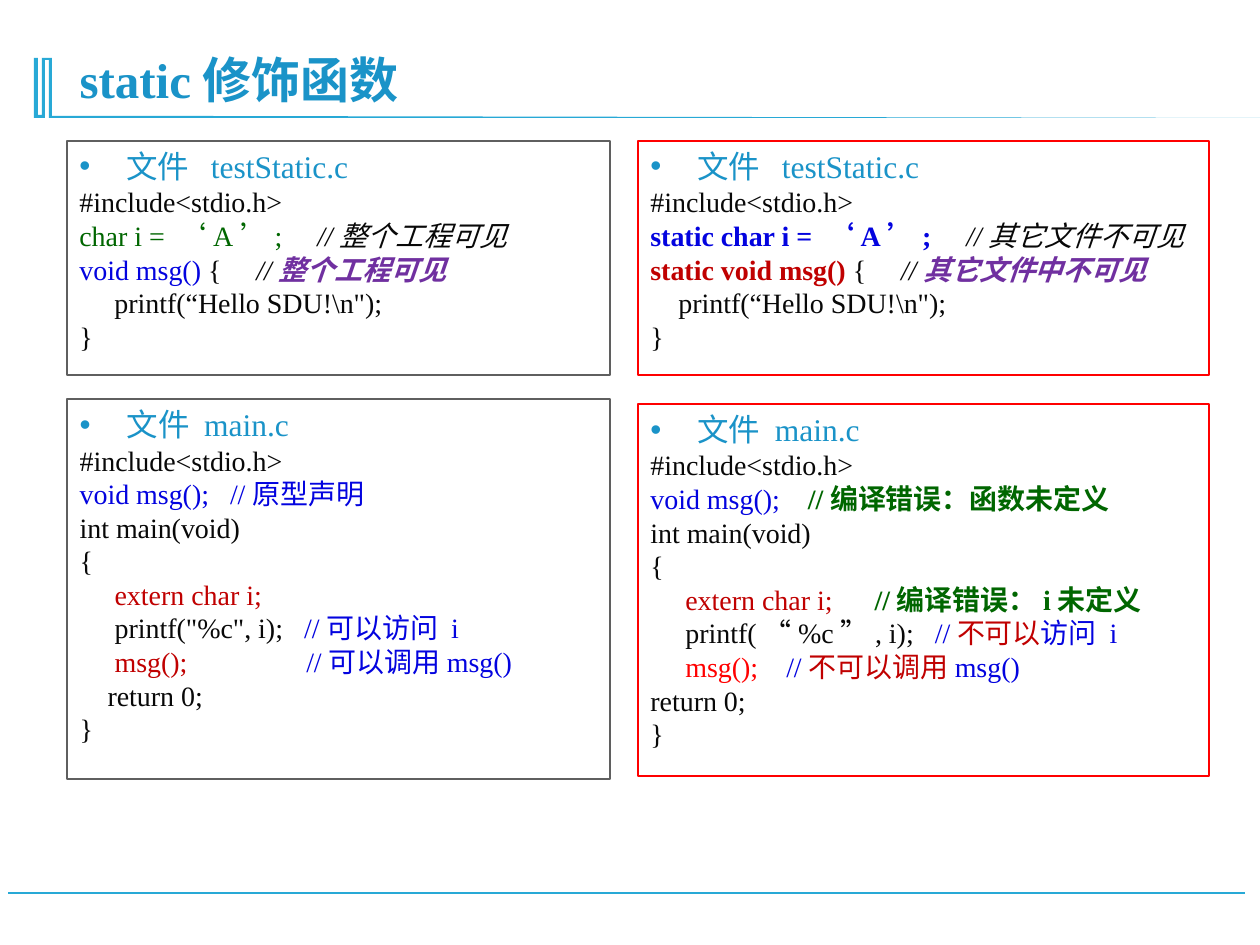
from lxml import etree
from pptx import Presentation
from pptx.dml.color import RGBColor
from pptx.enum.shapes import MSO_CONNECTOR, MSO_SHAPE
from pptx.enum.text import MSO_ANCHOR, MSO_AUTO_SIZE, PP_ALIGN
from pptx.oxml.ns import qn
from pptx.util import Pt

PX = 914400 / 126
LEFT, TOP, BOTTOM = PP_ALIGN.LEFT, MSO_ANCHOR.TOP, MSO_ANCHOR.BOTTOM
NO_FIT, RECT, STRAIGHT = MSO_AUTO_SIZE.NONE, MSO_SHAPE.RECTANGLE, MSO_CONNECTOR.STRAIGHT
FONT = "Times New Roman"
ACCENT, TITLE, GRAY, BLACK = "28A9D6", "1A93C8", "5F5F5F", "080808"
BLUE, RED, DARK_RED, GREEN, PURPLE = "0303DF", "FF0000", "C00000", "006600", "7030A0"


def color(value):
    return RGBColor.from_string(value)


def add_run(p, text, size, rgb, style=""):
    r = p.add_run()
    r.text = text
    r.font.name = FONT
    r.font.size = Pt(size)
    r.font.bold = "b" in style
    r.font.italic = "i" in style
    r.font.color.rgb = color(rgb)


prs = Presentation()
prs.slide_width, prs.slide_height = round(1260 * PX), round(945 * PX)
s = prs.slides.add_slide(prs.slide_layouts[1])

line = s.shapes.add_connector(STRAIGHT, *[round(n * PX) for n in (1245, 893, 8, 893)])
line.line.color.rgb = color(ACCENT)
line.line.width = Pt(1.25)
etree.SubElement(line._element.spPr, qn("a:effectLst"))

outline = [(52, 58), (52, 116), (176, 116), (1271, 118), (49, 118), (49, 60), (45, 60),
           (45, 118), (34, 118), (34, 58), (38, 58), (38, 115), (42, 115), (42, 58)]
fb = s.shapes.build_freeform(*outline[0], scale=PX)
fb.add_line_segments(outline[1:], close=True)
mark = fb.convert_to_shape()
mark.shadow.inherit = False
mark.fill.solid()
mark.fill.fore_color.rgb = color(ACCENT)
mark.line.fill.background()

title = s.shapes.title
title.left, title.top, title.width, title.height = [round(n * PX) for n in (67, 34, 1115, 81)]
tf = title.text_frame
tf.auto_size = NO_FIT
tf.vertical_anchor = BOTTOM
p = tf.paragraphs[0]
p.alignment = LEFT
p.line_spacing = 0.9
add_run(p, "static修饰函数", 28, TITLE, "b")

include = (0, [("#include<stdio.h>", BLACK)])
main_open = [(0, [("int main(void)", BLACK)]), (0, [("{", BLACK)])]
close = (0, [("}", BLACK)])
hello = [("printf(“Hello SDU!\\n\");", BLACK)]

boxes = [
    (s.placeholders[1], (67, 399, 543, 380), GRAY, "文件 main.c", [
        include,
        (0, [("void msg();   //原型声明", BLUE)]),
        *main_open,
        (35, [("extern char i;", DARK_RED)]),
        (35, [("printf(\"%c\", i);   ", BLACK), ("//可以访问 i", BLUE)]),
        (35, [("msg();                 ", DARK_RED), ("//可以调用msg()", BLUE)]),
        (28, [("return 0;", BLACK)]),
        close]),
    (None, (67, 141, 543, 234), GRAY, "文件  testStatic.c", [
        include,
        (0, [("char i = ‘A’;     ", GREEN), ("//整个工程可见", BLACK, "i")]),
        (0, [("void msg() ", BLUE), ("{     ", BLACK), ("//", BLACK, "i"),
             ("整个工程可见", PURPLE, "bi")]),
        (35, hello),
        close]),
    (None, (638, 141, 571, 234), RED, "文件  testStatic.c", [
        include,
        (0, [("static char i = ‘A’;     ", BLUE, "b"), ("//其它文件不可见", BLACK, "i")]),
        (0, [("static void msg() ", DARK_RED, "b"), ("{     ", BLACK), ("//", BLACK, "i"),
             ("其它文件中不可见", PURPLE, "bi")]),
        (28, hello),
        close]),
    (None, (638, 404, 571, 372), RED, "文件 main.c", [
        include,
        (0, [("void msg();    ", BLUE), ("//编译错误：函数未定义", GREEN, "b")]),
        *main_open,
        (35, [("extern char i;      ", DARK_RED), ("//编译错误：i未定义", GREEN, "b")]),
        (35, [("printf(“%c”, i);   ", BLACK), ("//", BLUE), ("不可以", DARK_RED),
              ("访问 i", BLUE)]),
        (35, [("msg();    ", RED), ("//", BLUE), ("不可以调用", DARK_RED), ("msg()", BLUE)]),
        (0, [("return 0;", BLACK)]),
        close]),
]

for sp, frame, border, heading, code in boxes:
    x, y, w, h = [round(n * PX) for n in frame]
    if sp is None:
        sp = s.shapes.add_shape(RECT, x, y, w, h)
        sp.shadow.inherit = False
    sp.left, sp.top, sp.width, sp.height = x, y, w, h
    sp.fill.background()
    sp.line.color.rgb = color(border)
    sp.line.width = Pt(0.75)
    tf = sp.text_frame
    tf.word_wrap = True
    tf.auto_size = NO_FIT
    tf.vertical_anchor = TOP
    for i, (margin, runs) in enumerate([(47, [(heading, TITLE)])] + code):
        p = tf.add_paragraph() if i else tf.paragraphs[0]
        size = 16 if i else 18
        p.alignment = LEFT
        p.line_spacing = Pt(size * 1.2)
        p.space_before = p.space_after = Pt(0)
        pPr = p._p.get_or_add_pPr()
        pPr.set("marL", str(round(margin * PX)))
        pPr.set("indent", str(0 if i else -round(margin * PX)))
        if i:
            etree.SubElement(pPr, qn("a:buNone"))
        else:
            etree.SubElement(pPr, qn("a:buFont"), typeface="Arial")
            etree.SubElement(pPr, qn("a:buChar"), char="•")
        for text, *look in runs:
            add_run(p, text, size, *look)

prs.save("out.pptx")
